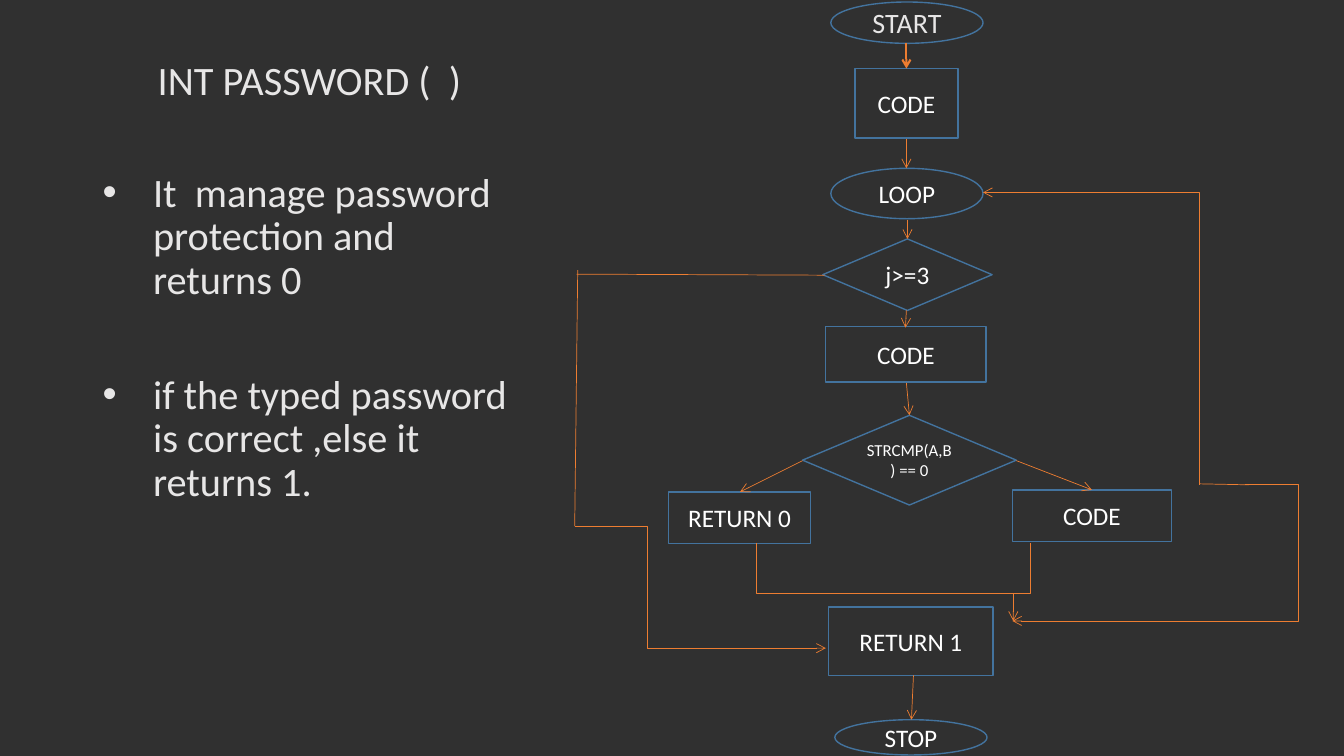
from dataclasses import dataclass

import lxml.etree
import pptx
import pptx.dml.color
import pptx.enum.shapes
import pptx.enum.text
import pptx.oxml.ns
import pptx.util
from pptx.util import Inches

Kind = pptx.enum.shapes.MSO_SHAPE
Line = pptx.enum.shapes.MSO_CONNECTOR
Align = pptx.enum.text.PP_ALIGN
Anchor = pptx.enum.text.MSO_ANCHOR
Point = tuple[float, float]
Box = tuple[float, float, float, float]


@dataclass(frozen=True)
class Theme:
    font: str = "Calibri"
    background: str = "303030"
    heading: str = "E7E6E6"
    label: str = "FFFFFF"
    outline: str = "43739E"
    flow: str = "ED7D31"
    heading_size: float = 28.8
    start_size: float = 20
    label_size: float = 18
    small_size: float = 12
    outline_width: float = 1
    flow_width: float = 0.5
    strong_width: float = 1.5


THEME = Theme()


@dataclass(frozen=True)
class Node:
    kind: Kind
    box: Box
    label: str
    size: float = THEME.label_size
    color: str = THEME.label


@dataclass(frozen=True)
class Flow:
    start: Point
    end: Point
    arrow: bool = True
    width: float = THEME.flow_width
    bend: float | None = None


TERMINAL = Kind.FLOWCHART_CONNECTOR
PROCESS = Kind.FLOWCHART_PROCESS
DECISION = Kind.FLOWCHART_DECISION

NODES = [
    Node(TERMINAL, (8.24, 0.02, 1.51, 0.41), "START", THEME.start_size, THEME.heading),
    Node(TERMINAL, (8.28, 7.14, 1.51, 0.35), "STOP"),
    Node(TERMINAL, (8.24, 1.67, 1.51, 0.5), "LOOP"),
    Node(DECISION, (8.16, 2.37, 1.68, 0.71), "j>=3"),
    Node(PROCESS, (8.48, 0.68, 1.02, 0.69), "CODE"),
    Node(PROCESS, (8.19, 3.24, 1.59, 0.55), "CODE"),
    Node(DECISION, (7.96, 4.12, 2.12, 0.89), "STRCMP(A,B) == 0", THEME.small_size),
    Node(PROCESS, (6.63, 4.88, 1.41, 0.51), "RETURN 0"),
    Node(PROCESS, (10.04, 4.86, 1.58, 0.51), "CODE"),
    Node(PROCESS, (8.22, 6.02, 1.63, 0.68), "RETURN 1"),
]

FLOWS = [
    Flow((8.99, 0.43), (8.99, 0.68), width=THEME.strong_width),
    Flow((8.99, 1.38), (8.99, 1.67)),
    Flow((9, 2.18), (9, 2.37)),
    Flow((8.99, 3.08), (8.98, 3.25)),
    Flow((8.99, 3.8), (9.02, 4.12)),
    Flow((7.96, 4.57), (7.34, 4.88)),
    Flow((10.08, 4.57), (10.83, 4.86)),
    Flow((10.05, 5.89), (10.05, 6.16)),
    Flow((9.06, 6.7), (9.04, 7.14)),
    Flow((8.18, 2.73), (5.72, 2.72), arrow=False),
    Flow((5.73, 2.68), (5.7, 5.22), arrow=False),
    Flow((5.7, 5.22), (8.19, 6.43), bend=0.29),
    Flow((11.9, 4.51), (9.75, 1.91), bend=0),
    Flow((11.9, 4.03), (11.9, 4.81), arrow=False),
    Flow((11.9, 4.8), (12.39, 4.81), arrow=False),
    Flow((12.35, 4.81), (10.04, 6.16), bend=-0.23),
]

TITLE = "INT PASSWORD (  )"
BULLETS = [
    "It  manage password protection and returns 0",
    "if the typed password is correct ,else it returns 1.",
]
BULLET_GAP = 51


def rgb(color: str) -> pptx.dml.color.RGBColor:
    return pptx.dml.color.RGBColor.from_string(color)


def add_element(parent, tag: str, **attributes: str) -> None:
    lxml.etree.SubElement(parent, pptx.oxml.ns.qn(tag), attributes)


def format_paragraph(paragraph, size: float, color: str) -> None:
    for run in paragraph.runs:
        run.font.name = THEME.font
        run.font.size = pptx.util.Pt(size)
        run.font.color.rgb = rgb(color)


def set_line(line, color: str, width: float) -> None:
    line.color.rgb = rgb(color)
    line.width = pptx.util.Pt(width)


def draw_outline(slide, kind: Kind, box: Box, color: str, width: float):
    shape = slide.shapes.add_shape(kind, *map(Inches, box))
    shape.shadow.inherit = False
    shape.fill.background()
    set_line(shape.line, color, width)
    return shape


def draw_node(slide, node: Node) -> None:
    shape = draw_outline(slide, node.kind, node.box, THEME.outline, THEME.outline_width)
    text_frame = shape.text_frame
    text_frame.text = node.label
    text_frame.vertical_anchor = Anchor.MIDDLE
    text_frame.paragraphs[0].alignment = Align.CENTER
    format_paragraph(text_frame.paragraphs[0], node.size, node.color)


def draw_flow(slide, flow: Flow) -> None:
    kind = Line.STRAIGHT if flow.bend is None else Line.ELBOW
    connector = slide.shapes.add_connector(kind, *map(Inches, flow.start + flow.end))
    set_line(connector.line, THEME.flow, flow.width)
    properties = connector.element.spPr
    if flow.bend is not None:
        guides = properties.find(".//" + pptx.oxml.ns.qn("a:avLst"))
        add_element(guides, "a:gd", name="adj1", fmla=f"val {round(flow.bend * 100000)}")
    if flow.arrow:
        add_element(properties.find(pptx.oxml.ns.qn("a:ln")), "a:tailEnd", type="arrow")
    add_element(properties, "a:effectLst")


def draw_merge_bracket(slide) -> None:
    box = (8.61, 4.28, 0.5, 2.72)
    bracket = draw_outline(slide, Kind.LEFT_BRACKET, box, THEME.flow, THEME.flow_width)
    bracket.adjustments[0] = 0
    bracket.rotation = 270


def draw_text(slide, box: Box, text: str, anchor: Anchor):
    text_frame = slide.shapes.add_textbox(*map(Inches, box)).text_frame
    text_frame.word_wrap = True
    text_frame.vertical_anchor = anchor
    text_frame.text = text
    for paragraph in text_frame.paragraphs:
        paragraph.line_spacing = 0.9
        format_paragraph(paragraph, THEME.heading_size, THEME.heading)
    return text_frame.paragraphs


def draw_description(slide) -> None:
    title = draw_text(slide, (0.92, 0.5, 4.3, 0.58), TITLE, Anchor.BOTTOM)[0]
    title.alignment = Align.CENTER
    bullets = draw_text(slide, (0.92, 1.66, 4.3, 4.76), "\n".join(BULLETS), Anchor.TOP)
    for index, paragraph in enumerate(bullets):
        paragraph.space_before = pptx.util.Pt(BULLET_GAP * index)
        properties = paragraph._p.get_or_add_pPr()
        properties.set("marL", str(Inches(0.5)))
        properties.set("indent", str(Inches(-0.5)))
        add_element(properties, "a:buFont", typeface="Arial")
        add_element(properties, "a:buChar", char="•")


def main() -> None:
    presentation = pptx.Presentation()
    presentation.slide_width = Inches(13.33)
    presentation.slide_height = Inches(7.5)
    slide = presentation.slides.add_slide(presentation.slide_layouts[6])
    slide.background.fill.solid()
    slide.background.fill.fore_color.rgb = rgb(THEME.background)
    draw_description(slide)
    for node in NODES:
        draw_node(slide, node)
    for flow in FLOWS:
        draw_flow(slide, flow)
    draw_merge_bracket(slide)
    presentation.save("out.pptx")


if __name__ == "__main__":
    main()
